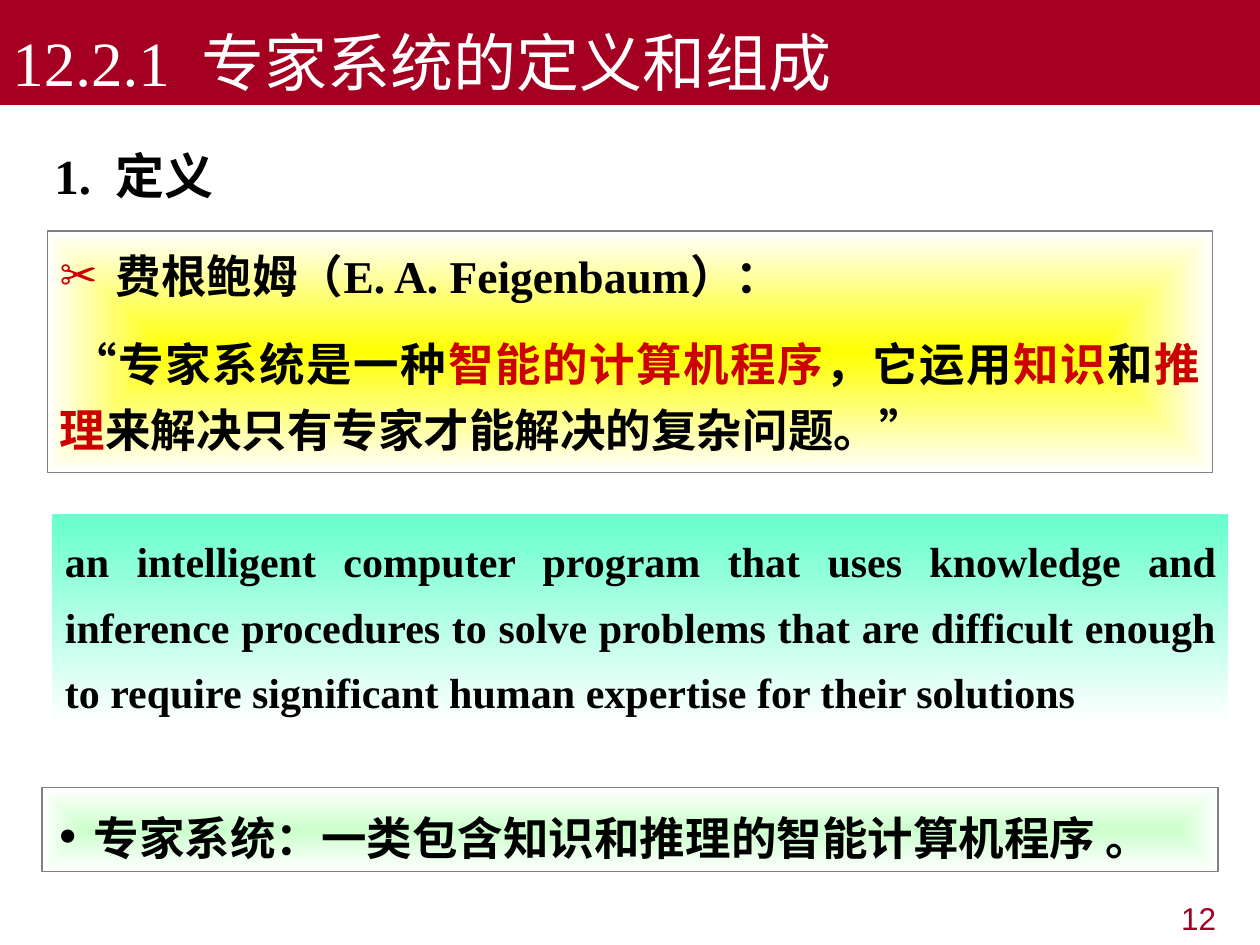
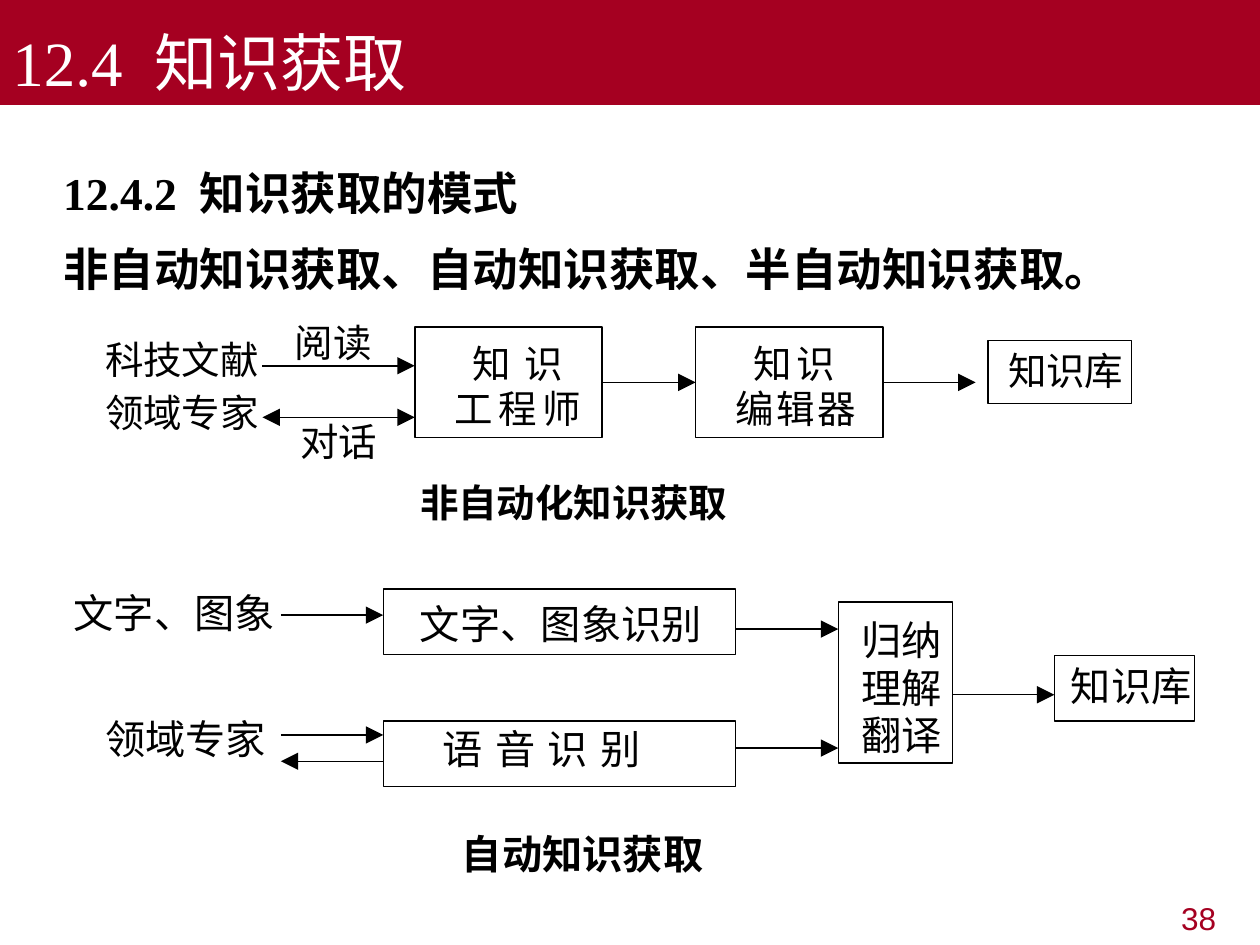
from dataclasses import dataclass
from typing import NamedTuple

from lxml.etree import SubElement
from pptx import Presentation
from pptx.dml.color import RGBColor
from pptx.enum.shapes import MSO_CONNECTOR as Connector, MSO_SHAPE as Preset
from pptx.enum.text import MSO_ANCHOR as Anchor, PP_ALIGN as Align
from pptx.oxml.ns import qn
from pptx.util import Pt

LEFT, RIGHT = 1, 3  # connection sites of a rectangle


@dataclass(frozen=True)
class Theme:
    crimson: str = "A50021"
    white: str = "FFFFFF"
    black: str = "000000"
    red: str = "CC0000"
    gray: str = "808080"
    yellow: str = "FFFF00"
    mint: str = "66FFCC"
    pale_green: str = "CCFFCC"
    latin: str = "Times New Roman"
    cjk: str = "Noto Sans CJK SC"
    number_font: str = "Arial"
    bullet_font: str = "DejaVu Sans"
    title: float = 36
    heading: float = 28
    body: float = 26
    quote: float = 24
    number: float = 18


THEME = Theme()


class Box(NamedTuple):
    left: float
    top: float
    width: float
    height: float


class Span(NamedTuple):
    text: str
    color: str = THEME.black
    tracking: float = 0


@dataclass(frozen=True)
class Style:
    size: float
    font: str = THEME.latin
    bold: bool = False


@dataclass(frozen=True)
class Block:
    """One paragraph with its layout."""
    spans: list[Span]
    style: Style
    align: Align = Align.LEFT
    spacing: float = 1.0
    before: float = 0
    margin: float = 0
    indent: float = 0
    bullet: str = ""
    bullet_color: str = THEME.black


class Label(NamedTuple):
    text: str
    left: float
    top: float
    bold: bool = False


class Line(NamedTuple):
    text: str
    margin: float
    tracking: float = 0


class Node(NamedTuple):
    box: Box
    inset_top: float
    lines: list[Line]


class Arrow(NamedTuple):
    """Each end is a point or the name of a node (from its right, to its left)."""
    begin: tuple[float, float] | str
    end: tuple[float, float] | str
    two_way: bool = False


@dataclass(frozen=True)
class Diagram:
    size: float
    pitch: float
    line_width: float
    labels: list[Label]
    nodes: dict[str, Node]
    arrows: list[Arrow]


def rgb(color: str) -> RGBColor:
    return RGBColor.from_string(color)


def numbered(number: str, title: str, size: float, color: str = THEME.black) -> list[Span]:
    """Number and title, parted by one space of double width."""
    return [Span(number, color), Span(" ", color, size / 4), Span(title, color)]


def format_run(run, style: Style, span: Span) -> None:
    run.font.name, run.font.size, run.font.bold = style.font, Pt(style.size), style.bold
    run.font.color.rgb = rgb(span.color)
    properties = run._r.get_or_add_rPr()
    SubElement(properties, qn("a:ea"), typeface=THEME.cjk)
    if span.tracking:
        properties.set("spc", str(round(span.tracking * 100)))


def set_insets(frame, left: float, top: float, right: float, bottom: float) -> None:
    frame.margin_left, frame.margin_top = Pt(left), Pt(top)
    frame.margin_right, frame.margin_bottom = Pt(right), Pt(bottom)


def write_blocks(frame, blocks: list[Block]) -> None:
    frame.word_wrap = True
    for number, block in enumerate(blocks):
        paragraph = frame.add_paragraph() if number else frame.paragraphs[0]
        properties = paragraph._p.get_or_add_pPr()
        properties.set("marL", str(Pt(block.margin)))
        properties.set("indent", str(Pt(block.indent)))
        if block.bullet:
            bullet_color = SubElement(properties, qn("a:buClr"))
            SubElement(bullet_color, qn("a:srgbClr"), val=block.bullet_color)
            SubElement(properties, qn("a:buFont"), typeface=THEME.bullet_font)
            SubElement(properties, qn("a:buChar"), char=block.bullet)
        paragraph.alignment, paragraph.line_spacing = block.align, block.spacing
        if block.before:
            paragraph.space_before = Pt(block.before)
        for span in block.spans:
            run = paragraph.add_run()
            run.text = span.text
            format_run(run, block.style, span)


def add_rectangle(slide, box: Box, outline: str = "", width: float = 0.75):
    shape = slide.shapes.add_shape(Preset.RECTANGLE, *map(Pt, box))
    shape.shadow.inherit = False
    shape.fill.background()
    if outline:
        shape.line.color.rgb, shape.line.width = rgb(outline), Pt(width)
    else:
        shape.line.fill.background()
    shape.text_frame.vertical_anchor = Anchor.TOP
    return shape


def fill_gradient(shape, color: str, from_centre: bool) -> None:
    """Fade from the colour to white, downwards or outwards from the centre."""
    shape.fill.gradient()
    for stop, stop_color in zip(shape.fill.gradient_stops, (color, THEME.white)):
        stop.color.rgb = rgb(stop_color)
    shape.fill.gradient_angle = 270
    if from_centre:
        gradient = shape._element.spPr.find(qn("a:gradFill"))
        gradient.remove(gradient.find(qn("a:lin")))
        route = SubElement(gradient, qn("a:path"), {"path": "rect"})
        SubElement(route, qn("a:fillToRect"), dict.fromkeys("ltrb", "50000"))


def add_panel(slide, box: Box, color: str, blocks: list[Block], framed: bool = True) -> None:
    panel = add_rectangle(slide, box, THEME.gray if framed else "")
    fill_gradient(panel, color, from_centre=framed)
    write_blocks(panel.text_frame, blocks)


def add_text(slide, box: Box, blocks: list[Block]) -> None:
    write_blocks(slide.shapes.add_textbox(*map(Pt, box)).text_frame, blocks)


def add_page(presentation, section: str, title: str, number: int):
    """Add a blank slide with the title band and the page number."""
    slide = presentation.slides.add_slide(presentation.slide_layouts[6])
    band = add_rectangle(slide, Box(0, 0, 720, 60))
    band.fill.solid()
    band.fill.fore_color.rgb = rgb(THEME.crimson)
    band.text_frame.vertical_anchor = Anchor.BOTTOM
    write_blocks(band.text_frame, [
        Block(numbered(section, title, THEME.title, THEME.white), Style(THEME.title))])
    add_text(slide, Box(546, 510, 156, 28), [
        Block([Span(str(number), THEME.crimson)], Style(THEME.number, THEME.number_font),
              Align.RIGHT)])
    return slide


def add_label(slide, label: Label, size: float) -> None:
    box = Box(label.left, label.top, (len(label.text) + 0.5) * size, size * 1.2)
    frame = slide.shapes.add_textbox(*map(Pt, box)).text_frame
    set_insets(frame, 0, 0, 0, 0)
    style = Style(size, THEME.cjk, label.bold)
    write_blocks(frame, [Block([Span(label.text)], style)])


def add_node(slide, node: Node, diagram: Diagram):
    shape = add_rectangle(slide, node.box, THEME.black, diagram.line_width)
    set_insets(shape.text_frame, 0, node.inset_top, 0, 0)
    style = Style(diagram.size, THEME.cjk)
    write_blocks(shape.text_frame, [
        Block([Span(line.text, tracking=line.tracking)], style,
              spacing=Pt(diagram.pitch), margin=line.margin)
        for line in node.lines])
    return shape


def side_middle(box: Box, site: int) -> tuple[float, float]:
    return box.left + (box.width if site == RIGHT else 0), box.top + box.height / 2


def add_arrow(slide, arrow: Arrow, diagram: Diagram, shapes: dict) -> None:
    begin, end = (
        side_middle(diagram.nodes[place].box, site) if isinstance(place, str) else place
        for place, site in ((arrow.begin, RIGHT), (arrow.end, LEFT)))
    connector = slide.shapes.add_connector(Connector.STRAIGHT, *map(Pt, begin + end))
    if arrow.begin in shapes:
        connector.begin_connect(shapes[arrow.begin], RIGHT)
    if arrow.end in shapes:
        connector.end_connect(shapes[arrow.end], LEFT)
    connector.line.color.rgb, connector.line.width = rgb(THEME.black), Pt(diagram.line_width)
    outline = connector.line._get_or_add_ln()
    for tag in ("a:headEnd", "a:tailEnd") if arrow.two_way else ("a:tailEnd",):
        SubElement(outline, qn(tag), type="triangle", w="lg", len="lg")
    SubElement(connector._element.spPr, qn("a:effectLst"))


def add_diagram(slide, diagram: Diagram) -> None:
    shapes = {name: add_node(slide, node, diagram) for name, node in diagram.nodes.items()}
    for label in diagram.labels:
        add_label(slide, label, diagram.size)
    for arrow in diagram.arrows:
        add_arrow(slide, arrow, diagram, shapes)


MANUAL = Diagram(
    size=22, pitch=26, line_width=0.88,
    labels=[
        Label("科技文献", 60, 192), Label("领域专家", 60, 222),
        Label("阅读", 168.5, 182), Label("对话", 171.5, 239),
        Label("非自动化知识获取", 240, 273.5, bold=True)],
    nodes={
        "engineer": Node(Box(237, 187, 107, 63), 7.5,
                         [Line("知识", 33, 8), Line("工程师", 23, 3)]),
        "editor": Node(Box(397.5, 187, 107, 63), 7.5,
                       [Line("知识", 33, 3), Line("编辑器", 23, 1.5)]),
        "knowledge base": Node(Box(564.5, 194.5, 82, 36), 4, [Line("知识库", 11.5)])},
    arrows=[
        Arrow((150, 209), (237, 209)),
        Arrow((150, 238.5), (237, 238.5), two_way=True),
        Arrow("engineer", "editor"),
        Arrow("editor", (557.5, 218.5))])

AUTOMATIC = Diagram(
    size=23, pitch=27.4, line_width=0.75,
    labels=[
        Label("文字、图象", 42, 336), Label("领域专家", 60, 408),
        Label("自动知识获取", 264, 474, bold=True)],
    nodes={
        "text recognition": Node(Box(219, 336.5, 201.5, 37.5), 6,
                                 [Line("文字、图象识别", 21)]),
        "speech recognition": Node(Box(219, 412, 201.5, 37.5), 2,
                                   [Line("语音识别", 34, 7)]),
        "understanding": Node(Box(479, 344, 65.5, 92), 7.5,
                              [Line(text, 13) for text in ("归纳", "理解", "翻译")]),
        "knowledge base": Node(Box(602.5, 374.5, 80, 37.5), 3.5, [Line("知识库", 9.5)])},
    arrows=[
        Arrow((160.5, 351.5), (219, 351.5)), Arrow((420.5, 359.5), (479, 359.5)),
        Arrow((420.5, 427.5), (479, 427.5)), Arrow((544.5, 397), (602.5, 397)),
        Arrow((160.5, 420), (219, 420)), Arrow((219, 435), (160.5, 435))])


def build_definition(presentation) -> None:
    slide = add_page(presentation, "12.2.1", "专家系统的定义和组成", 12)
    body = Style(THEME.body, bold=True)
    add_text(slide, Box(24, 73, 666, 50), [
        Block(numbered("1.", "定义", THEME.heading), Style(THEME.heading, bold=True),
              Align.JUSTIFY, 1.2)])
    add_panel(slide, Box(27, 132, 666, 138), THEME.yellow, [
        Block([Span("费根鲍姆（E. A. Feigenbaum）：")], body, Align.JUSTIFY, 1.2,
              margin=32, indent=-32, bullet="✂", bullet_color=THEME.red),
        Block([Span("“专家系统是一种"), Span("智能的计算机程序", THEME.red), Span("，它运用"),
               Span("知识", THEME.red), Span("和"), Span("推理", THEME.red),
               Span("来解决只有专家才能解决的复杂问题。”")],
              body, Align.JUSTIFY, 1.2, before=13, indent=6.5)])
    add_panel(slide, Box(24, 450, 672, 48), THEME.pale_green, [
        Block([Span("专家系统：一类包含知识和推理的智能计算机程序 。")], body, spacing=1.3,
              margin=22.5, indent=-22.5, bullet="•")])
    add_panel(slide, Box(30, 294, 672, 119.5), THEME.mint, [
        Block([Span("an intelligent computer program that uses knowledge and inference "
                    "procedures to solve problems that are difficult enough to require "
                    "significant human expertise for their solutions")],
              Style(THEME.quote, bold=True), Align.JUSTIFY, 1.3)], framed=False)


def build_acquisition(presentation) -> None:
    slide = add_page(presentation, "12.4", "知识获取", 38)
    body = Style(THEME.body, bold=True)
    add_text(slide, Box(29, 78, 655, 95), [
        Block(numbered("12.4.2", "知识获取的模式", THEME.body), body, spacing=1.4),
        Block([Span("非自动知识获取、自动知识获取、半自动知识获取。")], body, spacing=1.4)])
    add_diagram(slide, MANUAL)
    add_diagram(slide, AUTOMATIC)


def main() -> None:
    presentation = Presentation()
    presentation.slide_width, presentation.slide_height = Pt(720), Pt(540)
    build_definition(presentation)
    build_acquisition(presentation)
    presentation.save("out.pptx")


if __name__ == "__main__":
    main()
